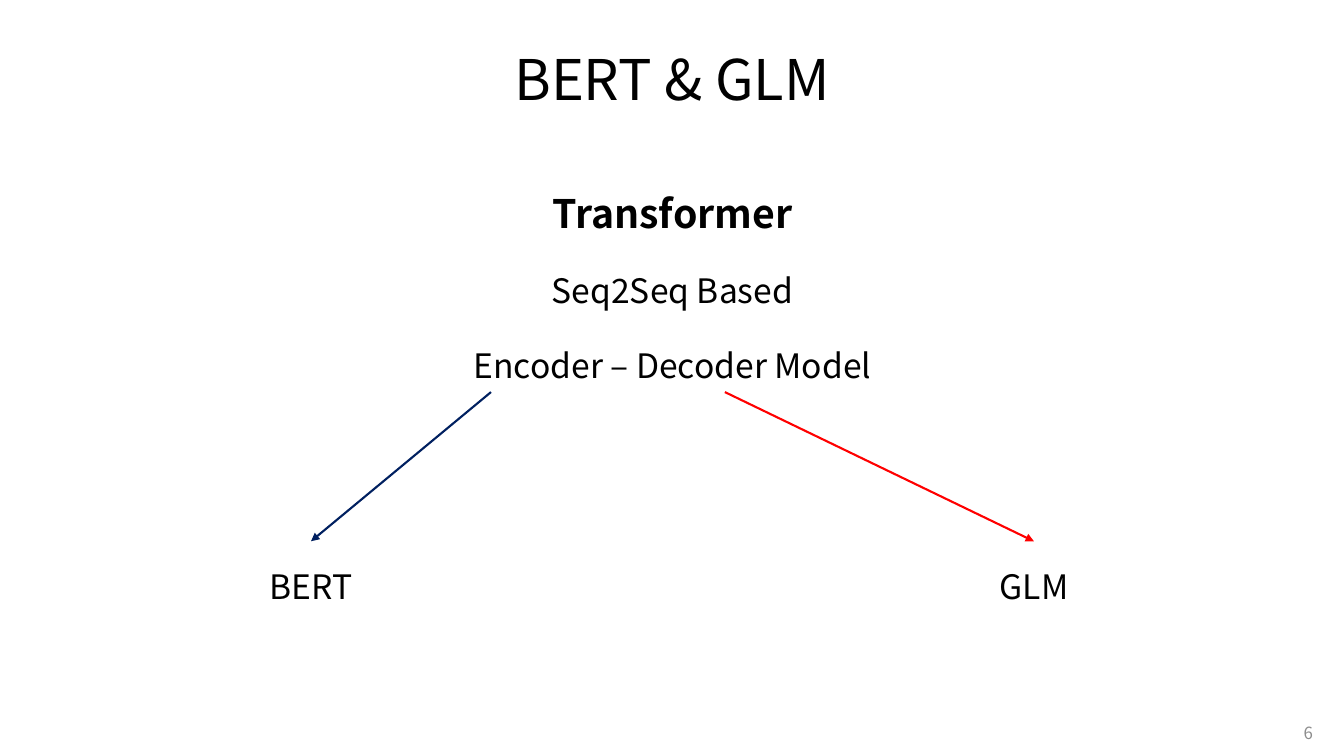
from pptx import Presentation
from pptx.dml.color import RGBColor
from pptx.enum import shapes as es, text as et
from pptx.oxml.ns import qn
from pptx.util import Inches, Pt
from lxml import etree

FONT = "Noto Sans CJK JP"
BLACK = RGBColor(0, 0, 0)
GREY = RGBColor(0x8C, 0x8C, 0x8C)
NAVY = RGBColor(0x00, 0x20, 0x60)
RED = RGBColor(0xFF, 0, 0)
MID = et.MSO_ANCHOR.MIDDLE
TOP = et.MSO_ANCHOR.TOP
CENTER = et.PP_ALIGN.CENTER


def place(shape, box):
    shape.left, shape.top, shape.width, shape.height = map(Inches, box)


def write(shape, lines, anchor=TOP, align=CENTER, color=BLACK, gap=10, lead=1.5):
    """Fill a shape with (text, size, bold) lines."""
    frame = shape.text_frame
    frame.word_wrap = True
    frame.auto_size = et.MSO_AUTO_SIZE.NONE
    frame.vertical_anchor = anchor
    frame.text = "\n".join(line[0] for line in lines)
    for para, (_, size, bold) in zip(frame.paragraphs, lines):
        para.alignment = align
        para.line_spacing = lead
        para.space_before = Pt(gap)
        font = para.font
        font.name, font.size, font.bold = FONT, Pt(size), bold
        font.color.rgb = color
        # Plain lines: no bullet, no indent
        props = para._p.get_or_add_pPr()
        props.set("marL", "0")
        props.set("indent", "0")
        props.insert_element_before(
            props.makeelement(qn("a:buNone"), {}), "a:tabLst", "a:defRPr", "a:extLst")


def add_text(slide, box, lines, **style):
    write(slide.shapes.add_textbox(*map(Inches, box)), lines, **style)


def add_arrow(slide, start, end, color):
    line = slide.shapes.add_connector(
        es.MSO_CONNECTOR.STRAIGHT, *map(Inches, start + end))
    line.line.color.rgb = color
    line.line.width = Pt(1.5)
    etree.SubElement(line.line._get_or_add_ln(), qn("a:tailEnd"), type="triangle")
    etree.SubElement(line._element.spPr, qn("a:effectLst"))


def add_head(slide, box):
    title = slide.shapes.title
    place(title, box)
    write(title, [("BERT & GLM", 40, False)], anchor=MID, gap=0, lead=1)


def add_tree(slide, box):
    """Model on top, one arrow and label for each branch below."""
    left, top, width, height = box
    root, wide, tall = 2.3, 2.29, 0.94
    body = slide.placeholders[1]
    place(body, (left, top, width, root))
    write(body, [("Transformer", 28, True),
                 ("Seq2Seq Based", 24, False),
                 ("Encoder – Decoder Model", 24, False)])
    low = top + height - tall
    branches = [("BERT", left, 2.93, NAVY),
                ("GLM", left + width - wide, 5.25, RED)]
    for name, x, start, color in branches:
        add_text(slide, (x, low, wide, tall), [(name, 24, False)])
        add_arrow(slide, (left + start, top + root), (x + wide / 2, low), color)


def add_page(slide, box):
    add_text(slide, box, [("6", 12, False)], anchor=MID,
             align=et.PP_ALIGN.RIGHT, color=GREY, gap=0, lead=1)


def main():
    deck = Presentation()
    deck.slide_width, deck.slide_height = Inches(13.33), Inches(7.5)
    slide = deck.slides.add_slide(deck.slide_layouts[1])
    add_head(slide, (0.65, 0.31, 12.03, 0.94))
    add_tree(slide, (1.94, 1.59, 9.46, 4.72))
    add_page(slide, (12.63, 7.07, 0.49, 0.4))
    deck.save("out.pptx")


if __name__ == "__main__":
    main()
